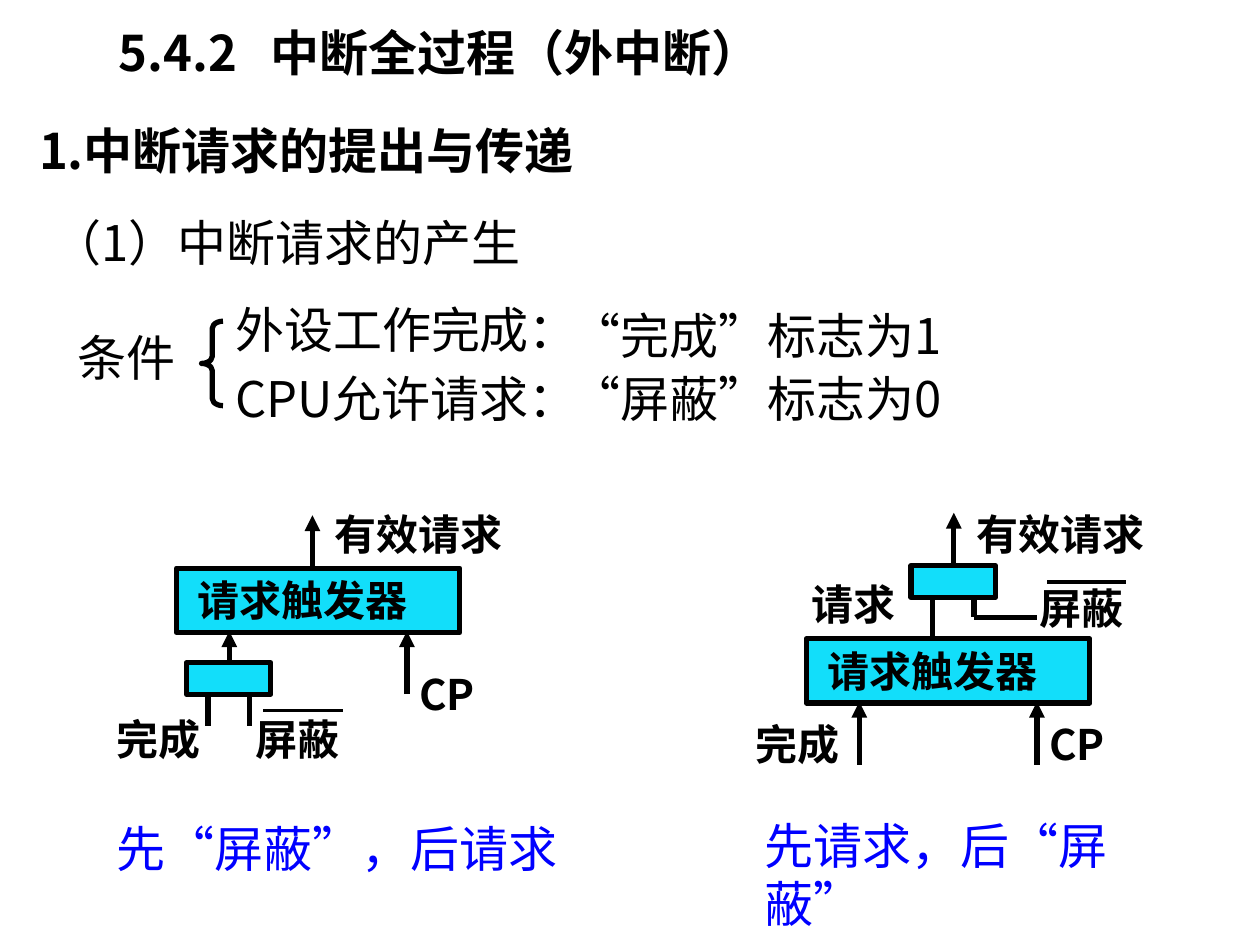
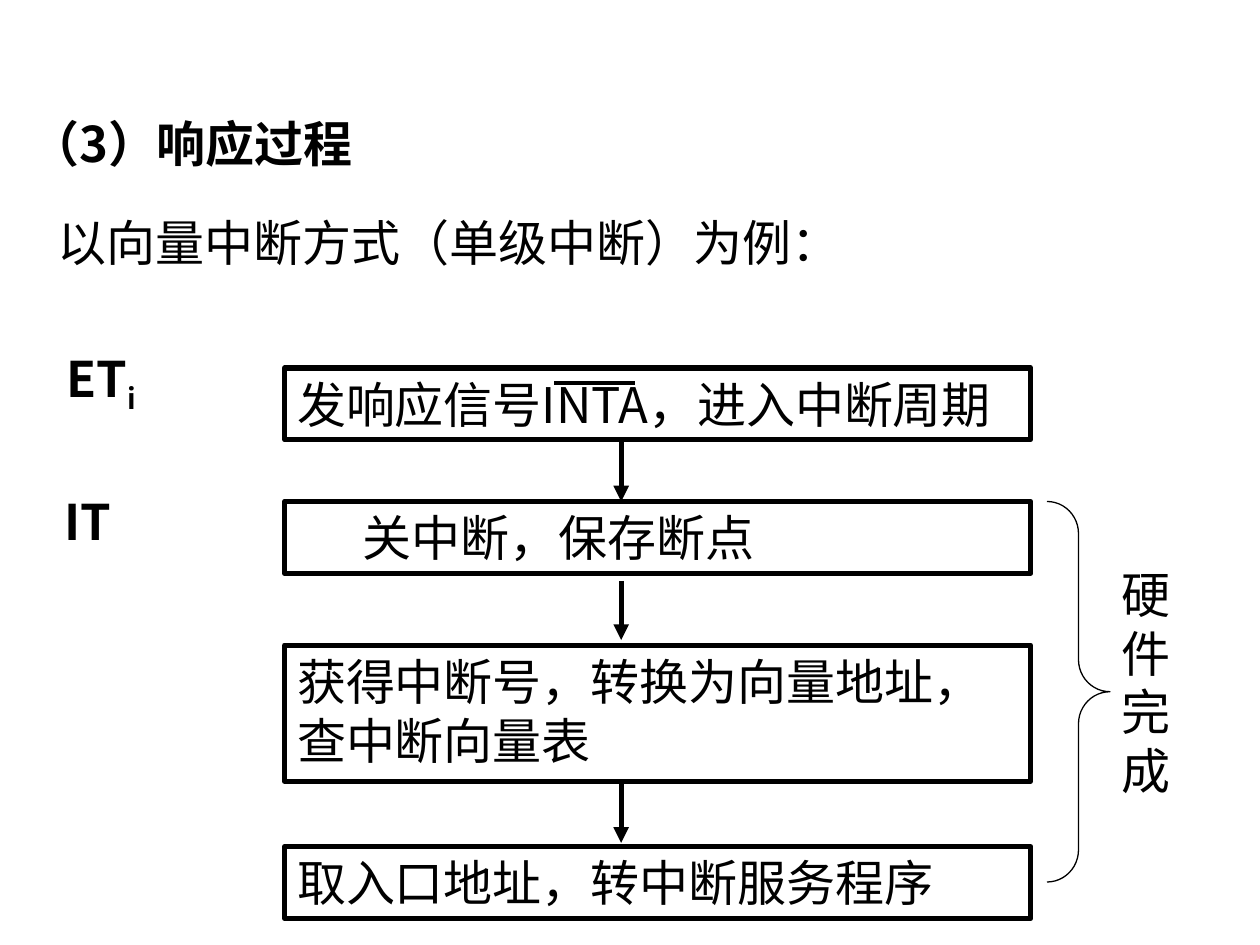
from dataclasses import dataclass
from itertools import groupby

from lxml import etree
from pptx import Presentation
from pptx.dml.color import RGBColor
from pptx.enum.shapes import MSO_CONNECTOR, MSO_SHAPE
from pptx.enum.text import MSO_ANCHOR, MSO_AUTO_SIZE, PP_ALIGN
from pptx.oxml.ns import qn
from pptx.util import Inches, Pt


@dataclass(frozen=True)
class Theme:
    font: str = "Noto Sans CJK SC"
    quote_font: str = "Times New Roman"
    black: RGBColor = RGBColor(0, 0, 0)
    blue: RGBColor = RGBColor(0, 0, 255)
    cyan: RGBColor = RGBColor(0x12, 0xDE, 0xFA)
    text_size: int = 28
    label_size: int = 24
    line_spacing: float = 1.2
    line_width: float = 3


THEME = Theme()
LINE_HEIGHT = 0.57
LABEL_HEIGHT = 0.51


# Text
def add_run(paragraph, text, size, color, bold, font_name=THEME.font):
    run = paragraph.add_run()
    run.text = text
    run.font.name = font_name
    run.font.size = Pt(size)
    run.font.bold = bold
    run.font.color.rgb = color
    properties = run.font._element
    properties.set("lang", "zh-CN")
    etree.SubElement(properties, qn("a:ea")).set("typeface", THEME.font)
    return run


def write_text(shape, text, size=THEME.text_size, color=THEME.black,
               bold=False, margin_left=0.1):
    """Fill a shape with one left-aligned paragraph; curly quotes get their own font."""
    frame = shape.text_frame
    frame.word_wrap = True
    frame.auto_size = MSO_AUTO_SIZE.NONE
    frame.vertical_anchor = MSO_ANCHOR.TOP
    frame.margin_left = Inches(margin_left)
    paragraph = frame.paragraphs[0]
    paragraph.alignment = PP_ALIGN.LEFT
    paragraph.line_spacing = Pt(size * THEME.line_spacing)
    paragraph.space_before = Pt(0)
    for is_quote, letters in groupby(text, key=lambda letter: letter in "“”"):
        font_name = THEME.quote_font if is_quote else THEME.font
        add_run(paragraph, "".join(letters), size, color, bold, font_name)
    return paragraph


def place(shape, left, top, width, height):
    shape.left, shape.top = Inches(left), Inches(top)
    shape.width, shape.height = Inches(width), Inches(height)


def add_text(slide, left, top, width, text, height=LINE_HEIGHT, **style):
    box = slide.shapes.add_textbox(Inches(left), Inches(top), Inches(width), Inches(height))
    return write_text(box, text, **style)


def add_label(slide, left, top, text, width=1.4):
    add_text(slide, left, top, width, text, LABEL_HEIGHT, size=THEME.label_size, bold=True)


def fill_title(slide, left, top, width, text, tab=None):
    place(slide.shapes.title, left, top, width, LINE_HEIGHT)
    properties = slide.shapes.title.text_frame.paragraphs[0]._p.get_or_add_pPr()
    if tab:
        stops = etree.SubElement(properties, qn("a:tabLst"))
        etree.SubElement(stops, qn("a:tab"), pos=str(Inches(tab)), algn="l")
    write_text(slide.shapes.title, text, bold=True)


def fill_body(slide, left, top, width, text, **style):
    body = slide.placeholders[1]
    place(body, left, top, width, LINE_HEIGHT)
    properties = body.text_frame.paragraphs[0]._p.get_or_add_pPr()
    properties.set("marL", "0")
    properties.set("indent", "0")
    etree.SubElement(properties, qn("a:buNone"))
    write_text(body, text, **style)


# Shapes and lines
def add_outline(slide, kind, left, top, width, height, line_width=THEME.line_width, fill=None):
    shape = slide.shapes.add_shape(kind, Inches(left), Inches(top), Inches(width), Inches(height))
    shape.shadow.inherit = False
    if fill is None:
        shape.fill.background()
    else:
        shape.fill.solid()
        shape.fill.fore_color.rgb = fill
    shape.line.color.rgb = THEME.black
    shape.line.width = Pt(line_width)
    return shape


def add_brace(slide, kind, left, top, width, height, curve, line_width):
    brace = add_outline(slide, kind, left, top, width, height, line_width)
    brace.adjustments[0] = curve
    brace.adjustments[1] = 0.5


def add_line(slide, start, end, width=THEME.line_width, arrow=False):
    line = slide.shapes.add_connector(
        MSO_CONNECTOR.STRAIGHT, *(Inches(value) for value in (*start, *end)))
    line.line.color.rgb = THEME.black
    line.line.width = Pt(width)
    if arrow:
        etree.SubElement(line.line._get_or_add_ln(), qn("a:tailEnd"), type="triangle")
    etree.SubElement(line._element.spPr, qn("a:effectLst"))


def add_up_arrow(slide, x, tip, length):
    add_line(slide, (x, tip + length), (x, tip), arrow=True)


def add_overline(slide, left, top, width=0.63, line_width=2):
    add_line(slide, (left, top), (left + width, top), line_width)


# Request circuit parts
def add_trigger(slide, left, top):
    box = add_outline(slide, MSO_SHAPE.RECTANGLE, left, top, 2.25, LABEL_HEIGHT, fill=THEME.cyan)
    write_text(box, "请求触发器", THEME.label_size, bold=True, margin_left=0.17)


def add_gate(slide, left, top):
    add_outline(slide, MSO_SHAPE.RECTANGLE, left, top, 0.67, 0.25, fill=THEME.cyan)


def draw_mask_first(slide):
    add_trigger(slide, 1.4, 4.51)
    add_gate(slide, 1.48, 5.26)
    for x in (1.65, 1.98):
        add_line(slide, (x, 5.51), (x, 5.76))
    for x, tip, length in ((1.82, 5.01, 0.25), (3.23, 5.01, 0.5), (2.48, 4.09, 0.42)):
        add_up_arrow(slide, x, tip, length)
    add_label(slide, 0.83, 5.61, "完成")
    add_label(slide, 1.93, 5.61, "屏蔽")
    add_overline(slide, 2.09, 5.64)
    add_label(slide, 3.23, 5.26, "CP")
    add_label(slide, 2.56, 3.99, "有效请求", 1.9)
    add_text(slide, 0.83, 6.45, 4.02, "先“屏蔽”，后请求", color=THEME.blue)


def draw_request_first(slide):
    add_trigger(slide, 6.4, 5.07)
    add_gate(slide, 7.23, 4.49)
    add_line(slide, (7.4, 4.74), (7.4, 5.07))
    add_line(slide, (7.73, 4.74), (7.73, 4.9))
    add_line(slide, (7.73, 4.9), (8.23, 4.9))
    for x, tip, length in ((6.82, 5.57, 0.5), (8.23, 5.57, 0.5), (7.57, 4.07, 0.42)):
        add_up_arrow(slide, x, tip, length)
    add_label(slide, 5.9, 5.65, "完成")
    add_label(slide, 8.15, 4.57, "屏蔽")
    add_overline(slide, 8.31, 4.62)
    add_label(slide, 8.23, 5.65, "CP")
    add_label(slide, 6.34, 4.54, "请求")
    add_label(slide, 7.65, 3.99, "有效请求", 1.9)
    add_text(slide, 5.97, 6.42, 3.53, "先请求，后“屏蔽”", color=THEME.blue)


# Slides
def build_request_slide(slide):
    fill_title(slide, 0.84, 0.13, 6.83, "5.4.2\t中断全过程（外中断）", tab=1.21)
    fill_body(slide, 0.21, 0.91, 6.33, "1.中断请求的提出与传递", bold=True)
    add_text(slide, 0.32, 1.64, 6.33, "（1）中断请求的产生")

    # Conditions
    add_text(slide, 0.52, 2.55, 1.32, "条件")
    add_brace(slide, MSO_SHAPE.LEFT_BRACE, 1.6, 2.55, 0.17, 0.67, 0.33, THEME.line_width)
    add_text(slide, 1.77, 2.33, 4, "外设工作完成：")
    add_text(slide, 4.44, 2.38, 3.92, "“完成”标志为1")
    add_text(slide, 1.77, 2.88, 4, "CPU允许请求：")
    add_text(slide, 4.44, 2.88, 3.92, "“屏蔽”标志为0")

    draw_mask_first(slide)
    draw_request_first(slide)


def build_response_slide(slide):
    fill_title(slide, 0.14, 0.85, 4.92, "（3）响应过程")
    fill_body(slide, 0.36, 1.64, 9.1, "以向量中断方式（单级中断）为例：")

    # Cycle names
    paragraph = add_text(slide, 0.43, 2.78, 1.09, "ET", bold=True)
    subscript = add_run(paragraph, "i", THEME.text_size, THEME.black, True)
    subscript.font._element.set("baseline", "-25000")
    add_text(slide, 0.41, 3.85, 1.09, "IT", bold=True)

    # Response steps
    steps = (
        (2.92, LINE_HEIGHT, 0.1, "发响应信号INTA，进入中断周期"),
        (3.98, LINE_HEIGHT, 0.62, "关中断，保存断点"),
        (5.12, 1.08, 0.1, "获得中断号，转换为向量地址，查中断向量表"),
        (6.72, LINE_HEIGHT, 0.1, "取入口地址，转中断服务程序"),
    )
    for top, height, margin_left, text in steps:
        box = add_outline(slide, MSO_SHAPE.RECTANGLE, 2.26, top, 5.92, height)
        write_text(box, text, margin_left=margin_left)
    for top in (3.51, 4.61, 6.22):
        add_line(slide, (4.93, top), (4.93, top + 0.47), arrow=True)
    add_overline(slide, 4.4, 3.04, 0.64, 2.25)

    # Hardware part
    add_brace(slide, MSO_SHAPE.RIGHT_BRACE, 8.31, 3.98, 0.5, 3.02, 0.51, 0.75)
    add_text(slide, 8.8, 4.43, 0.77, "硬件完成", height=1.99)


def main():
    presentation = Presentation()
    presentation.slide_width = Inches(10)
    presentation.slide_height = Inches(7.5)
    layout = presentation.slide_layouts[1]
    for build in (build_request_slide, build_response_slide):
        build(presentation.slides.add_slide(layout))
    presentation.save("out.pptx")


if __name__ == "__main__":
    main()
